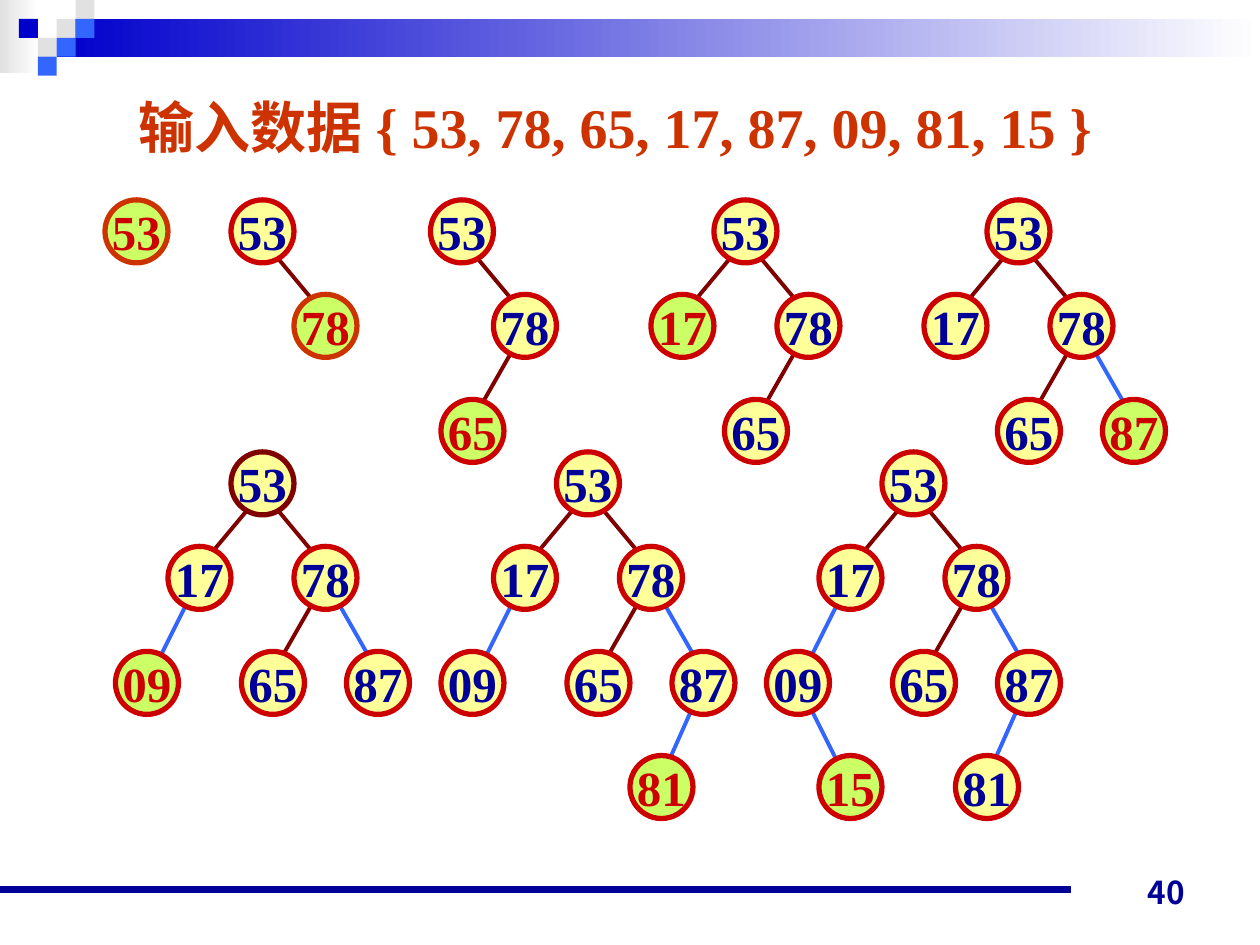
from pptx import Presentation
from pptx.dml.color import RGBColor
from pptx.enum.shapes import MSO_CONNECTOR as CONN, MSO_SHAPE as SHAPE
from pptx.enum.text import MSO_ANCHOR as ANCHOR, MSO_AUTO_SIZE as AUTO, PP_ALIGN as ALIGN
from pptx.oxml.ns import qn
from pptx.util import Pt
from lxml.etree import SubElement

TITLE = "输入数据 { 53, 78, 65, 17, 87, 09, 81, 15 }"
SERIF, SANS = "Times New Roman", "Noto Sans CJK JP"
NAVY, RED, MAROON, RUST, BLUE = "000099", "CC0000", "800000", "CC3300", "3366FF"
YELLOW, GREEN, GREY, ROYAL = "FFFF99", "CCFF66", "E1E1E1", "0000CC"

# Header: gradient bands (left, top, width, height, colour), squares (column, row, colour)
BANDS = [(0, 0, 22, 41.8, GREY), (32.4, 10.8, 687.6, 21.6, ROYAL)]
SQUARES = [(3, 1, GREY), (4, 0, GREY), (4, 1, BLUE), (2, 2, GREY),
           (1, 1, ROYAL), (3, 2, BLUE), (2, 3, BLUE)]
SQUARE = 10.8

# Place of each key's node, relative to the root node
NODES = {"53": (0, 0), "78": (36, 54), "17": (-36, 54), "65": (6, 114),
         "87": (66, 114), "09": (-66, 114), "81": (42, 173.5), "15": (-36, 173.5)}
# Edge from the parent down to each key, relative to the root node
EDGES = {"78": (24, 30, 54, 66, MAROON), "17": (12, 30, -18, 66, MAROON),
         "65": (48, 84, 24, 126, MAROON), "87": (60, 84, 84, 126, BLUE),
         "09": (-24, 84, -42, 120, BLUE), "81": (84, 132, 60, 186, BLUE),
         "15": (-42, 144, -24, 180, BLUE)}
DIAMETER = 36
ROW1, ROW2 = 114.25, 258.25

# Trees: root left, root top, keys, new key, outlines that differ
TREES = [
    (60, ROW1, "53", "53", {"53": RUST}),
    (132, ROW1, "53 78", "78", {"78": RUST}),
    (246, ROW1, "53 78 65", "65", {}),
    (408, ROW1, "53 78 65 17", "17", {}),
    (564, ROW1, "53 78 65 17 87", "87", {}),
    (132, ROW2, "53 78 65 17 87 09", "09", {"53": MAROON}),
    (318, ROW2, "53 78 65 17 87 09 81", "81", {}),
    (504, ROW2, "53 78 65 17 87 09 81 15", "15", {}),
]


def rgb(color):
    return RGBColor.from_string(color)


def set_font(p, name, size, color):
    f = p.font
    f.name, f.size, f.bold = name, Pt(size), True
    f.color.rgb = rgb(color)


def add_shape(kind, x, y, w, h):
    sp = s.shapes.add_shape(kind, Pt(x), Pt(y), Pt(w), Pt(h))
    sp.shadow.inherit = False
    return sp


def add_line(x1, y1, x2, y2, color, width):
    ln = s.shapes.add_connector(CONN.STRAIGHT, Pt(x1), Pt(y1), Pt(x2), Pt(y2))
    ln.line.color.rgb = rgb(color)
    ln.line.width = Pt(width)
    SubElement(ln._element.spPr, qn("a:effectLst"))


def add_node(key, x, y, fill, outline, color):
    sp = add_shape(SHAPE.OVAL, x, y, DIAMETER, DIAMETER)
    sp.fill.solid()
    sp.fill.fore_color.rgb = rgb(fill)
    sp.line.color.rgb = rgb(outline)
    sp.line.width = Pt(3)
    tf = sp.text_frame
    tf.word_wrap = False
    tf.vertical_anchor = ANCHOR.MIDDLE
    p = tf.paragraphs[0]
    p.text, p.alignment = key, ALIGN.CENTER
    set_font(p, SERIF, 28, color)


prs = Presentation()
prs.slide_width, prs.slide_height = Pt(720), Pt(540)
s = prs.slides.add_slide(prs.slide_layouts[5])

# Header and footer decoration
for *box, color in BANDS:
    sp = add_shape(SHAPE.RECTANGLE, *box)
    sp.fill.gradient()
    sp.fill.gradient_angle = 0
    for stop, stop_color in zip(sp.fill.gradient_stops, (color, "FFFFFF")):
        stop.color.rgb = rgb(stop_color)
    sp.line.fill.background()
for col, row, color in SQUARES:
    sp = add_shape(SHAPE.RECTANGLE, col * SQUARE, row * SQUARE, SQUARE, SQUARE)
    sp.fill.solid()
    sp.fill.fore_color.rgb = rgb(color)
    sp.line.fill.background()
add_line(0, 508.3, 612, 508.3, NAVY, 4.5)

# Slide number
tf = s.shapes.add_textbox(Pt(516), Pt(488), Pt(168), Pt(36)).text_frame
tf.word_wrap = True
tf.vertical_anchor = ANCHOR.BOTTOM
p = tf.paragraphs[0]
p.text, p.alignment = "40", ALIGN.RIGHT
set_font(p, SANS, 18, NAVY)

# Title
title = s.shapes.title
title.left, title.top, title.width, title.height = Pt(72), Pt(49), Pt(576), Pt(45.4)
tf = title.text_frame
tf.word_wrap = True
tf.auto_size = AUTO.SHAPE_TO_FIT_TEXT
tf.vertical_anchor = ANCHOR.TOP
p = tf.paragraphs[0]
p.text, p.alignment = TITLE, ALIGN.LEFT
set_font(p, SERIF, 32, RUST)

# Trees: edges first, nodes on top
for left, top, keys, new, outlines in TREES:
    keys = keys.split()
    for key in keys[1:]:
        x1, y1, x2, y2, color = EDGES[key]
        add_line(left + x1, top + y1, left + x2, top + y2, color, 2.25)
    for key in keys:
        dx, dy = NODES[key]
        fill, color = (GREEN, RED) if key == new else (YELLOW, NAVY)
        add_node(key, left + dx, top + dy, fill, outlines.get(key, RED), color)

prs.save("out.pptx")
